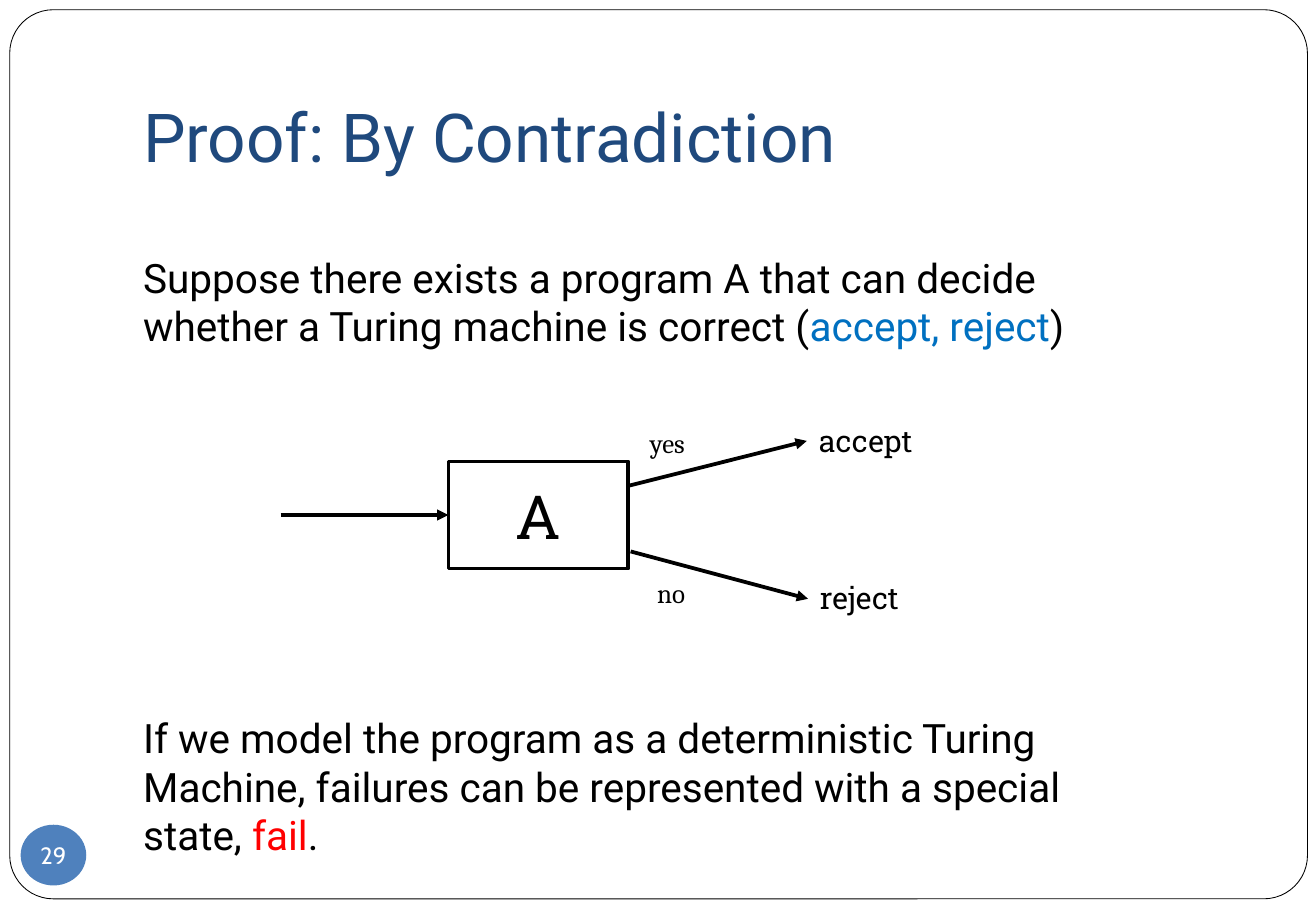
from lxml import etree
from pptx import Presentation
from pptx.dml.color import RGBColor
from pptx.enum import shapes, text
from pptx.oxml import ns
from pptx.util import Inches, Pt

BLACK, WHITE = "000000", "FFFFFF"
BODY, SLAB, SERIF = "Roboto", "Roboto Slab", "Cambria"
MARGINS = (0.1, 0.05, 0.1, 0.05)


def color(value):
    return RGBColor.from_string(value)


def write(shape, spans, size, font, align=text.PP_ALIGN.LEFT,
          anchor=text.MSO_ANCHOR.TOP, margins=MARGINS, wrap=True):
    """Fill a shape with one paragraph of (wording, colour) spans."""
    frame = shape.text_frame
    frame.word_wrap = wrap
    frame.vertical_anchor = anchor
    (frame.margin_left, frame.margin_top,
     frame.margin_right, frame.margin_bottom) = map(Inches, margins)
    para = frame.paragraphs[0]
    para.alignment = align
    for wording, tint in spans:
        span = para.add_run()
        span.text = wording
        span.font.size = Pt(size)
        span.font.name = font
        span.font.color.rgb = color(tint)


def add_text(page, box, spans, size, font, **options):
    shape = page.shapes.add_textbox(*map(Inches, box))
    write(shape, spans, size, font, **options)


def add_panel(page, kind, box, fill, line=None, width=0, corner=None):
    panel = page.shapes.add_shape(kind, *map(Inches, box))
    panel.shadow.inherit = False
    panel.fill.solid()
    panel.fill.fore_color.rgb = color(fill)
    if line:
        panel.line.color.rgb = color(line)
        panel.line.width = Pt(width)
    else:
        panel.line.fill.background()
    if corner is not None:
        panel.adjustments[0] = corner
    return panel


def add_arrow(page, start, end):
    arrow = page.shapes.add_connector(
        shapes.MSO_CONNECTOR.STRAIGHT, *map(Inches, start + end))
    arrow.line.color.rgb = color(BLACK)
    arrow.line.width = Pt(2.25)
    head = etree.SubElement(arrow.line._get_or_add_ln(), ns.qn("a:tailEnd"))
    head.set("type", "triangle")
    etree.SubElement(arrow._element.spPr, ns.qn("a:effectLst"))


def draw_frame(page, box, number):
    """Rounded border with the page number in its lower left corner."""
    left, top, width, height = box
    add_panel(page, shapes.MSO_SHAPE.ROUNDED_RECTANGLE, box, WHITE,
              BLACK, 0.5, 0.049)
    badge = add_panel(page, shapes.MSO_SHAPE.OVAL,
                      (left + 0.09, top + height - 0.61, 0.54, 0.5), "4F81BD")
    write(badge, [(number, WHITE)], 14, "Cabin", text.PP_ALIGN.CENTER,
          text.MSO_ANCHOR.MIDDLE, (0, 0, 0, 0), False)


def draw_decider(page, box):
    """Program A with one input arrow and two labelled outcomes."""
    left, top, width, height = box
    right, middle = left + width, top + height / 2

    # Input
    add_arrow(page, (left - 1.38, middle), (left, middle))

    # Outcomes: arrow start and end, branch label box, result box
    outcomes = [
        ("yes", "accept", (0, 0.2), (1.47, -0.17),
         (0.08, -0.34, 0.52, 0.37), (1.47, -0.37, 0.98, 0.4)),
        ("no", "reject", (0.02, 0.74), (1.48, 1.13),
         (0.14, 0.9, 0.45, 0.37), (1.48, 0.92, 0.87, 0.4)),
    ]
    for answer, result, start, end, answer_box, result_box in outcomes:
        add_arrow(page, (right + start[0], top + start[1]),
                  (right + end[0], top + end[1]))
        for wording, size, font, (x, y, w, h) in (
                (answer, 16, SERIF, answer_box),
                (result, 18, SLAB, result_box)):
            add_text(page, (right + x, top + y, w, h), [(wording, BLACK)],
                     size, font, wrap=False)

    # Program
    program = add_panel(page, shapes.MSO_SHAPE.ROUNDED_RECTANGLE, box, WHITE,
                        BLACK, 2.25, 0)
    write(program, [("A", BLACK)], 36, SLAB, text.PP_ALIGN.CENTER,
          text.MSO_ANCHOR.MIDDLE)


def main():
    deck = Presentation()
    deck.slide_width, deck.slide_height = Inches(10.83), Inches(7.5)
    page = deck.slides.add_slide(deck.slide_layouts[6])

    draw_frame(page, (0.08, 0.08, 10.68, 7.32), "29")

    # Title
    add_text(page, (1.08, 0.3, 9.21, 1.25),
             [("Proof: By Contradiction", "1F497D")], 40, BODY,
             anchor=text.MSO_ANCHOR.BOTTOM, margins=(0.1, 0.05, 0.1, 0.1))

    # Statements above and below the diagram
    add_text(page, (1.08, 2.03, 8.5, 0.91), [
        ("Suppose there exists a program A that can decide whether "
         "a Turing machine is correct (", BLACK),
        ("accept, reject", "0070C0"), (")", BLACK)], 24, BODY)
    add_text(page, (1.08, 5.82, 8.5, 1.31), [
        ("If we model the program as a deterministic Turing Machine, "
         "failures can be represented with a special state, ", BLACK),
        ("fail", "FF0000"), (".", BLACK)], 24, BODY)

    draw_decider(page, (3.69, 3.8, 1.48, 0.88))
    deck.save("out.pptx")


if __name__ == "__main__":
    main()
